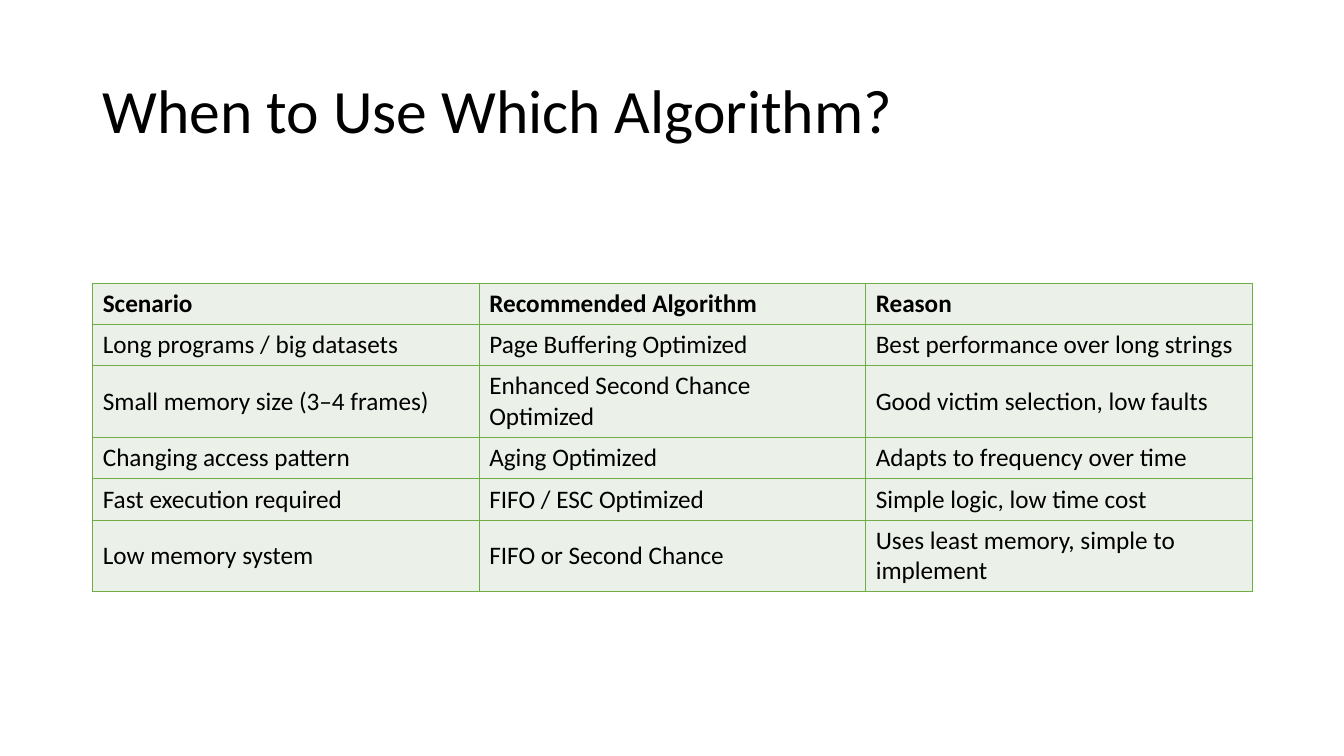
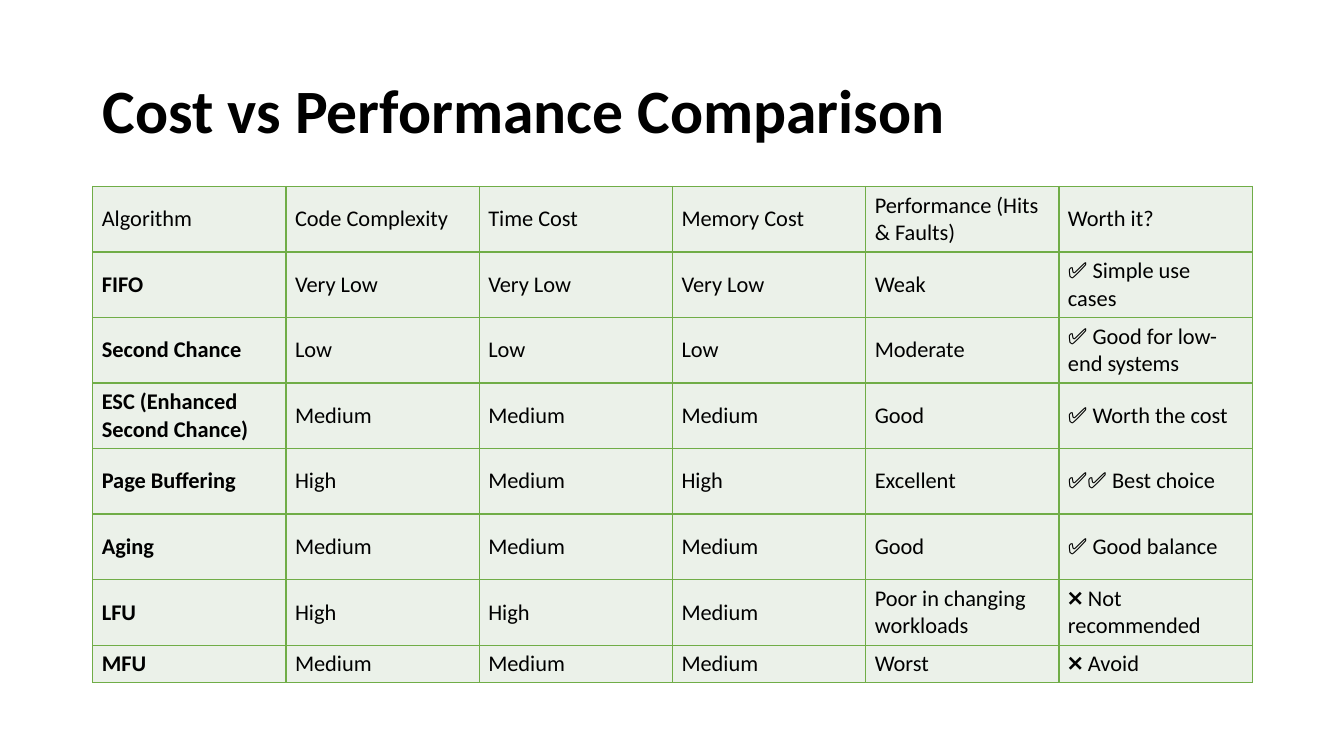
"""Build two slides that compare page replacement algorithms in tables."""
from dataclasses import dataclass

from lxml.etree import SubElement
from pptx import Presentation
from pptx.dml.color import RGBColor
from pptx.enum.text import MSO_ANCHOR as Anchor, MSO_AUTO_SIZE as AutoSize, PP_ALIGN as Align
from pptx.oxml.ns import qn
from pptx.util import Inches, Pt


@dataclass(frozen=True)
class Theme:
    font: str = "Calibri"
    ink: str = "000000"
    cell: str = "EBF1E9"
    border: str = "70AD47"
    border_width: int = Pt(1)
    title_size: int = 44


THEME = Theme()
LEFT, WIDTH = Inches(0.92), Inches(11.5)
TITLE_TOP, TITLE_HEIGHT = Inches(0.4), Inches(1.45)
ONE_LINE, TWO_LINES = 0.41, 0.71

SLIDES = [
    {
        "title": "When to Use Which Algorithm?",
        "title_bold": False,
        "bold": "header",
        "top": 2.81,
        "size": 18,
        "margins": (0.1, 0.05),
        "heights": [ONE_LINE, ONE_LINE, TWO_LINES, ONE_LINE, ONE_LINE, TWO_LINES],
        "rows": [
            ("Scenario", "Recommended Algorithm", "Reason"),
            ("Long programs / big datasets", "Page Buffering Optimized", "Best performance over long strings"),
            ("Small memory size (3–4 frames)", "Enhanced Second Chance Optimized", "Good victim selection, low faults"),
            ("Changing access pattern", "Aging Optimized", "Adapts to frequency over time"),
            ("Fast execution required", "FIFO / ESC Optimized", "Simple logic, low time cost"),
            ("Low memory system", "FIFO or Second Chance", "Uses least memory, simple to implement"),
        ],
    },
    {
        "title": "Cost vs Performance Comparison",
        "title_bold": True,
        "bold": "first column",
        "top": 1.85,
        "size": 16,
        "margins": (0.09, 0.04),
        "heights": [0.65] * 7 + [0.37],
        "rows": [
            ("Algorithm", "Code Complexity", "Time Cost", "Memory Cost", "Performance (Hits & Faults)", "Worth it?"),
            ("FIFO", "Very Low", "Very Low", "Very Low", "Weak", "✅ Simple use cases"),
            ("Second Chance", "Low", "Low", "Low", "Moderate", "✅ Good for low-end systems"),
            ("ESC (Enhanced Second Chance)", "Medium", "Medium", "Medium", "Good", "✅ Worth the cost"),
            ("Page Buffering", "High", "Medium", "High", "Excellent", "✅✅ Best choice"),
            ("Aging", "Medium", "Medium", "Medium", "Good", "✅ Good balance"),
            ("LFU", "High", "High", "Medium", "Poor in changing workloads", "❌ Not recommended"),
            ("MFU", "Medium", "Medium", "Medium", "Worst", "❌ Avoid"),
        ],
    },
]


def style_font(para, size, bold):
    para.font.name = THEME.font
    para.font.size = Pt(size)
    para.font.bold = bold
    para.font.color.rgb = RGBColor.from_string(THEME.ink)


def set_title(page, text, bold):
    title = page.shapes.title
    title.left, title.top, title.width, title.height = LEFT, TITLE_TOP, WIDTH, TITLE_HEIGHT
    frame = title.text_frame
    frame.text = text
    frame.word_wrap = True
    frame.auto_size = AutoSize.NONE
    frame.vertical_anchor = Anchor.MIDDLE
    para = frame.paragraphs[0]
    para.alignment = Align.LEFT
    para.line_spacing = 0.9
    style_font(para, THEME.title_size, bold)


def add_borders(cell):
    properties = cell._tc.get_or_add_tcPr()
    for side in ("a:lnL", "a:lnR", "a:lnT", "a:lnB"):
        line = SubElement(properties, qn(side), w=str(THEME.border_width))
        fill = SubElement(line, qn("a:solidFill"))
        SubElement(fill, qn("a:srgbClr"), val=THEME.border)


def fill_cell(cell, text, size, bold, margins):
    cell.text = text
    cell.vertical_anchor = Anchor.MIDDLE
    side, edge = (Inches(margin) for margin in margins)
    cell.margin_left = cell.margin_right = side
    cell.margin_top = cell.margin_bottom = edge
    add_borders(cell)
    cell.fill.solid()
    cell.fill.fore_color.rgb = RGBColor.from_string(THEME.cell)
    style_font(cell.text_frame.paragraphs[0], size, bold)


def add_grid(page, content):
    rows, heights = content["rows"], content["heights"]
    columns = len(rows[0])
    table = page.shapes.add_table(
        len(rows), columns, LEFT, Inches(content["top"]), WIDTH, Inches(sum(heights))
    ).table
    table.first_row = table.horz_banding = False
    for column in table.columns:
        column.width = WIDTH // columns
    for r, (texts, height) in enumerate(zip(rows, heights)):
        table.rows[r].height = Inches(height)
        for c, text in enumerate(texts):
            bold = r == 0 if content["bold"] == "header" else c == 0 and r > 0
            fill_cell(table.cell(r, c), text, content["size"], bold, content["margins"])


def main():
    deck = Presentation()
    deck.slide_width, deck.slide_height = Inches(13.33), Inches(7.5)
    title_only = deck.slide_layouts.get_by_name("Title Only")
    for content in SLIDES:
        page = deck.slides.add_slide(title_only)
        set_title(page, content["title"], content["title_bold"])
        add_grid(page, content)
    deck.save("out.pptx")


if __name__ == "__main__":
    main()
